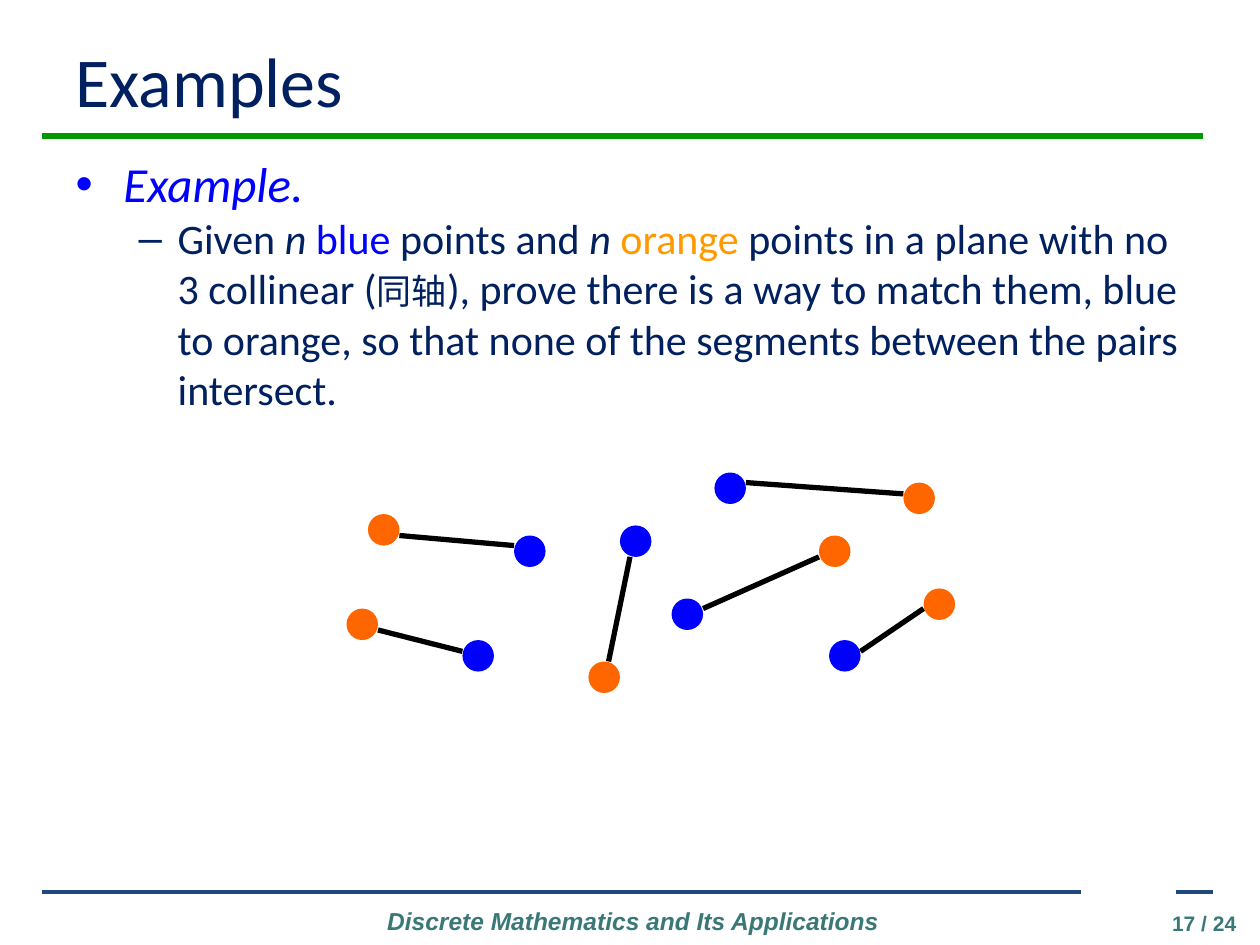
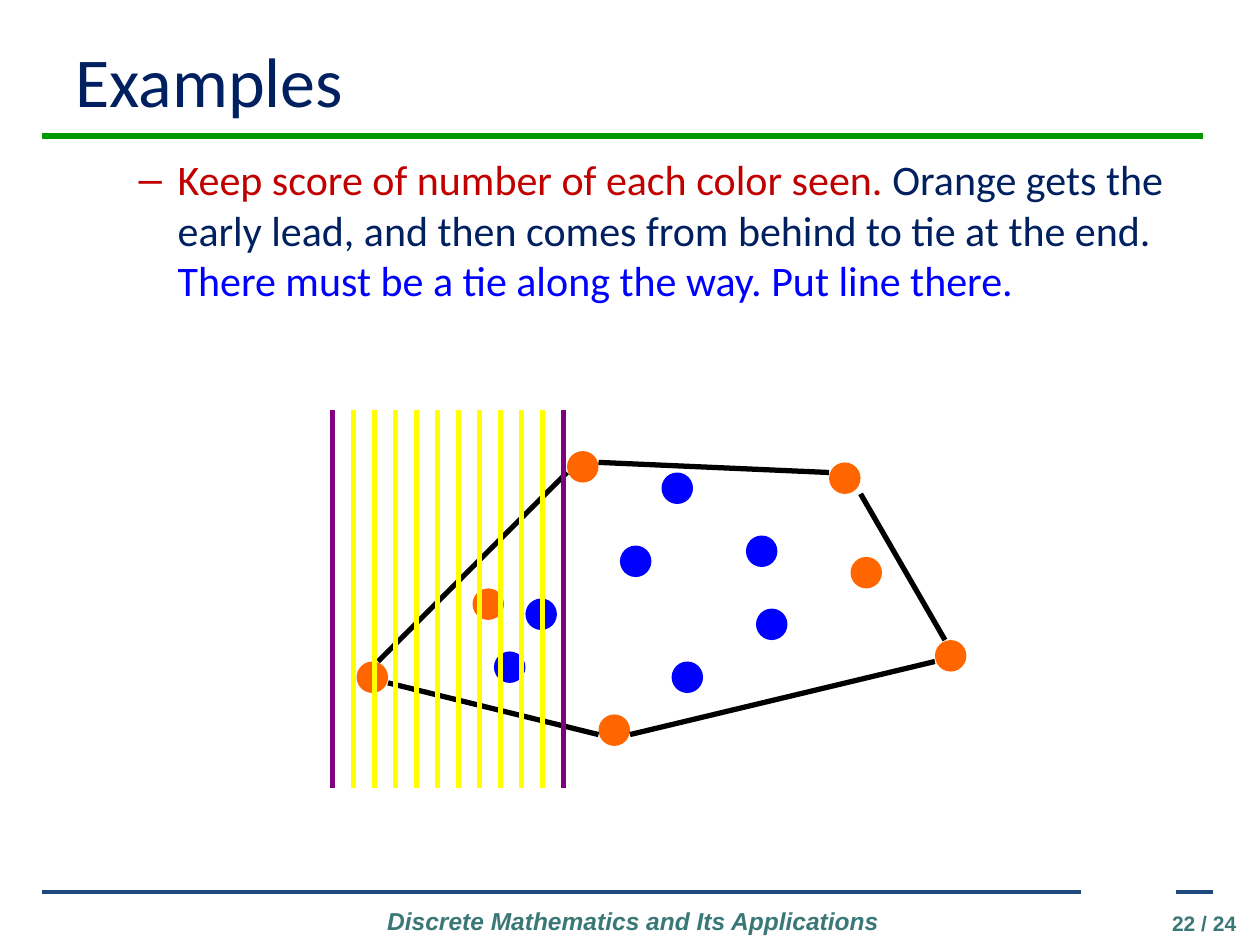
"""Builds two slides on matching blue and orange points without crossings."""
from dataclasses import dataclass

from lxml.etree import SubElement
from pptx import Presentation
from pptx.dml.color import RGBColor
from pptx.enum.shapes import MSO_CONNECTOR as Connector, MSO_SHAPE as Shape
from pptx.enum.text import MSO_ANCHOR as Anchor, MSO_AUTO_SIZE as AutoSize, PP_ALIGN as Align
from pptx.oxml.ns import qn
from pptx.util import Inches, Pt


@dataclass(frozen=True)
class Theme:
    navy: str = "002060"
    blue: str = "0000FF"
    red: str = "C00000"
    orange_word: str = "FF9900"
    orange_point: str = "FF6600"
    title_rule: str = "009900"
    footer_rule: str = "1F497D"
    footer_text: str = "3A7877"
    segment: str = "000000"
    boundary: str = "800080"
    sweep: str = "FFFF00"
    body_font: str = "Calibri"
    footer_font: str = "Arial"
    title_size: int = 40
    heading_size: int = 28
    text_size: int = 24
    gloss_size: int = 20
    footer_size: int = 14
    page_size: int = 12
    line_width: float = 3
    footer_rule_width: float = 2.25


theme = Theme()


def style_font(font, size, color, name=theme.body_font, bold=None, italic=None):
    font.name, font.size = name, Pt(size)
    font.bold, font.italic = bold, italic
    font.color.rgb = RGBColor.from_string(color)


def draw_line(shapes, ends, color, width=theme.line_width):
    line = shapes.add_connector(Connector.STRAIGHT, *[Inches(value) for value in ends])
    line.line.color.rgb = RGBColor.from_string(color)
    line.line.width = Pt(width)
    SubElement(line._element.spPr, qn("a:effectLst"))


bullet_levels = [("•", 0.38, 0.38, theme.heading_size), ("–", 0.81, 0.31, theme.text_size)]
point_size = 0.25

examples = [
    {
        "page": "17 / 24",
        "body_height": 2.17,
        "paragraphs": [
            (0, theme.blue, [("Example.", {"italic": True})]),
            (1, theme.navy, [
                ("Given ", {}),
                ("n ", {"italic": True}),
                ("blue", {"color": theme.blue}),
                (" points and ", {}),
                ("n ", {"italic": True}),
                ("orange", {"color": theme.orange_word}),
                (" points in a plane with no 3 collinear (", {}),
                ("同轴", {"size": theme.gloss_size}),
                ("), prove there is a way to match them, blue to orange, so that none of "
                 "the segments between the pairs intersect.", {}),
            ]),
        ],
        "points": {
            theme.blue: [(4.08, 4.25), (3.67, 5.08), (6.58, 5.08), (4.92, 4.17),
                         (5.33, 4.75), (5.67, 3.75)],
            theme.orange_point: [(2.75, 4.83), (6.5, 4.25), (7.17, 3.83), (7.33, 4.67),
                                 (2.92, 4.08), (4.67, 5.25)],
        },
        "segments": [(3, 5, 3.67, 5.17), (3.17, 4.25, 4.08, 4.33), (4.83, 5.25, 5, 4.42),
                     (6.5, 4.42, 5.58, 4.83), (7.33, 4.83, 6.83, 5.17),
                     (7.17, 3.92, 5.92, 3.83)],
        "sweep_lines": 0,
    },
    {
        "page": "22 / 24",
        "body_height": 1.3,
        "paragraphs": [
            (1, theme.red, [
                ("Keep score of number of each color seen. ", {}),
                ("Orange gets the early lead, and then comes from behind to tie at the end. ",
                 {"color": theme.navy}),
                ("There must be a tie along the way. Put line there.", {"color": theme.blue}),
            ]),
        ],
        "points": {
            theme.blue: [(3.92, 5.17), (5.25, 3.75), (4.17, 4.75), (6, 4.83),
                         (4.92, 4.33), (5.33, 5.25), (5.92, 4.25)],
            theme.orange_point: [(6.58, 3.67), (2.83, 5.25), (6.75, 4.42), (7.42, 5.08),
                                 (4.75, 5.67), (3.75, 4.67), (4.5, 3.58)],
        },
        "segments": [(7.5, 5.08, 6.83, 3.92), (6.58, 3.75, 4.75, 3.67),
                     (7.42, 5.25, 5, 5.83), (4.75, 5.83, 3.08, 5.42),
                     (4.5, 3.75, 3, 5.25)],
        "sweep_lines": 12,
    },
]

deck = Presentation()
deck.slide_width, deck.slide_height = Inches(10), Inches(7.5)

for example in examples:
    slide = deck.slides.add_slide(deck.slide_layouts[1])

    draw_line(slide.shapes, (0.33, 1.08, 9.55, 1.08), theme.title_rule)
    for start, end in [(0.33, 8.58), (9.33, 9.63)]:
        draw_line(slide.shapes, (start, 7.08, end, 7.08), theme.footer_rule,
                  theme.footer_rule_width)

    for text, place, align, size, italic in [
        ("Discrete Mathematics and Its Applications", (2.83, 7.14, 4.39, 0.34),
         Align.CENTER, theme.footer_size, True),
        (example["page"], (8.89, 7.18, 1.02, 0.24), Align.RIGHT, theme.page_size, False),
    ]:
        footer = slide.shapes.add_textbox(*[Inches(value) for value in place]).text_frame
        footer.word_wrap = True
        footer.text = text
        footer.paragraphs[0].alignment = align
        style_font(footer.paragraphs[0].font, size, theme.footer_text,
                   theme.footer_font, True, italic)

    title = slide.shapes.title
    title.left, title.top = Inches(0.5), Inches(0.25)
    title.width, title.height = Inches(9), Inches(0.77)
    title.text_frame.text = "Examples"
    title.text_frame.vertical_anchor = Anchor.MIDDLE
    title.text_frame.auto_size = AutoSize.NONE
    title.text_frame.paragraphs[0].alignment = Align.LEFT
    style_font(title.text_frame.paragraphs[0].font, theme.title_size, theme.navy)

    body = slide.placeholders[1]
    body.left, body.top = Inches(0.5), Inches(1.17)
    body.width, body.height = Inches(9.08), Inches(example["body_height"])
    body.text_frame.auto_size = AutoSize.NONE
    for index, (level, color, runs) in enumerate(example["paragraphs"]):
        paragraph = body.text_frame.add_paragraph() if index else body.text_frame.paragraphs[0]
        mark, margin, hanging, size = bullet_levels[level]
        paragraph.level = level
        paragraph.space_before = Pt(0)
        properties = paragraph._p.get_or_add_pPr()
        properties.set("marL", str(Inches(margin)))
        properties.set("indent", str(-Inches(hanging)))
        SubElement(SubElement(properties, qn("a:buClr")), qn("a:srgbClr"), val=color)
        SubElement(properties, qn("a:buFont"), typeface=theme.footer_font)
        SubElement(properties, qn("a:buChar"), char=mark)
        style_font(paragraph.font, size, color)
        for text, changes in runs:
            run = paragraph.add_run()
            run.text = text
            if changes:
                style_font(run.font, **{"size": size, "color": color, **changes})

    diagram = slide.shapes.add_group_shape().shapes
    for color, corners in example["points"].items():
        for left, top in corners:
            point = diagram.add_shape(Shape.OVAL, Inches(left), Inches(top),
                                      Inches(point_size), Inches(point_size))
            point.shadow.inherit = False
            point.fill.solid()
            point.fill.fore_color.rgb = RGBColor.from_string(color)
            point.line.fill.background()
    for ends in example["segments"]:
        draw_line(diagram, ends, theme.segment)

    last = example["sweep_lines"] - 1
    for step in range(example["sweep_lines"]):
        x = 2.64 + step / 6
        draw_line(slide.shapes, (x, 6.25, x, 3.25),
                  theme.boundary if step in (0, last) else theme.sweep)

deck.save("out.pptx")
